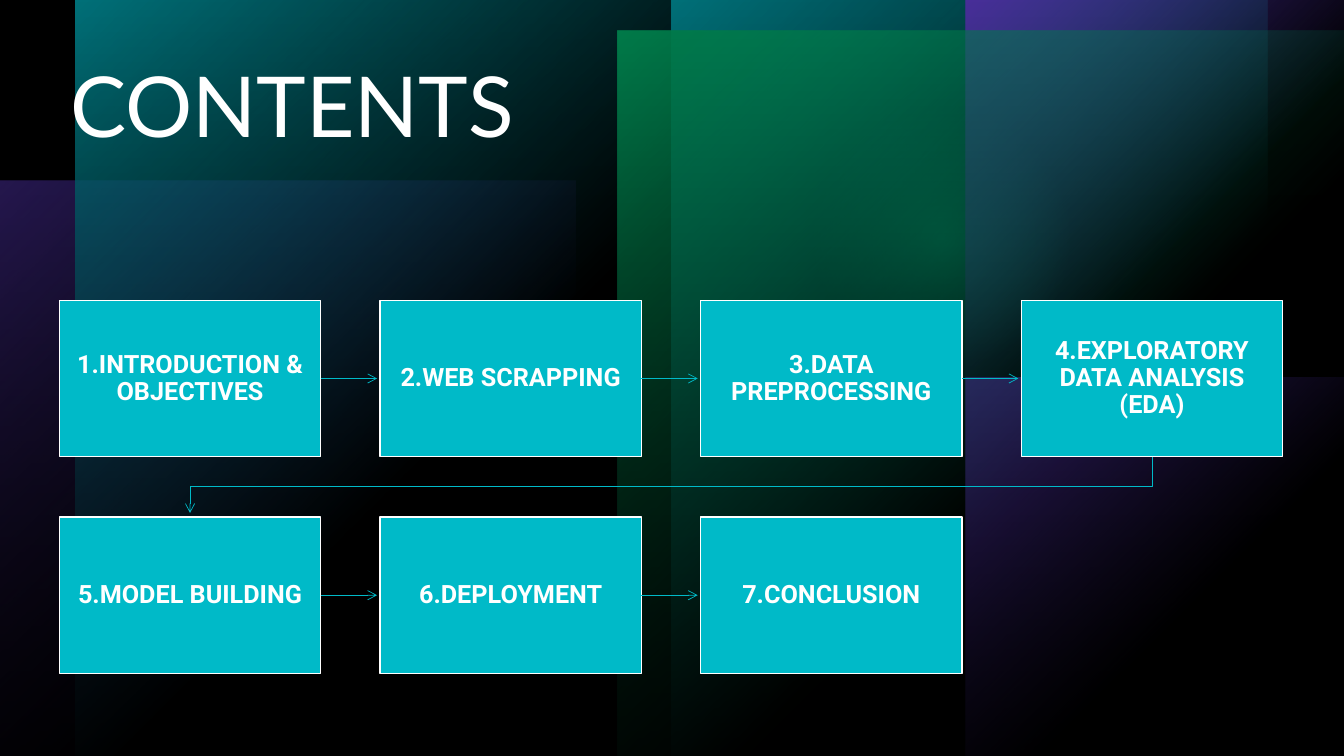
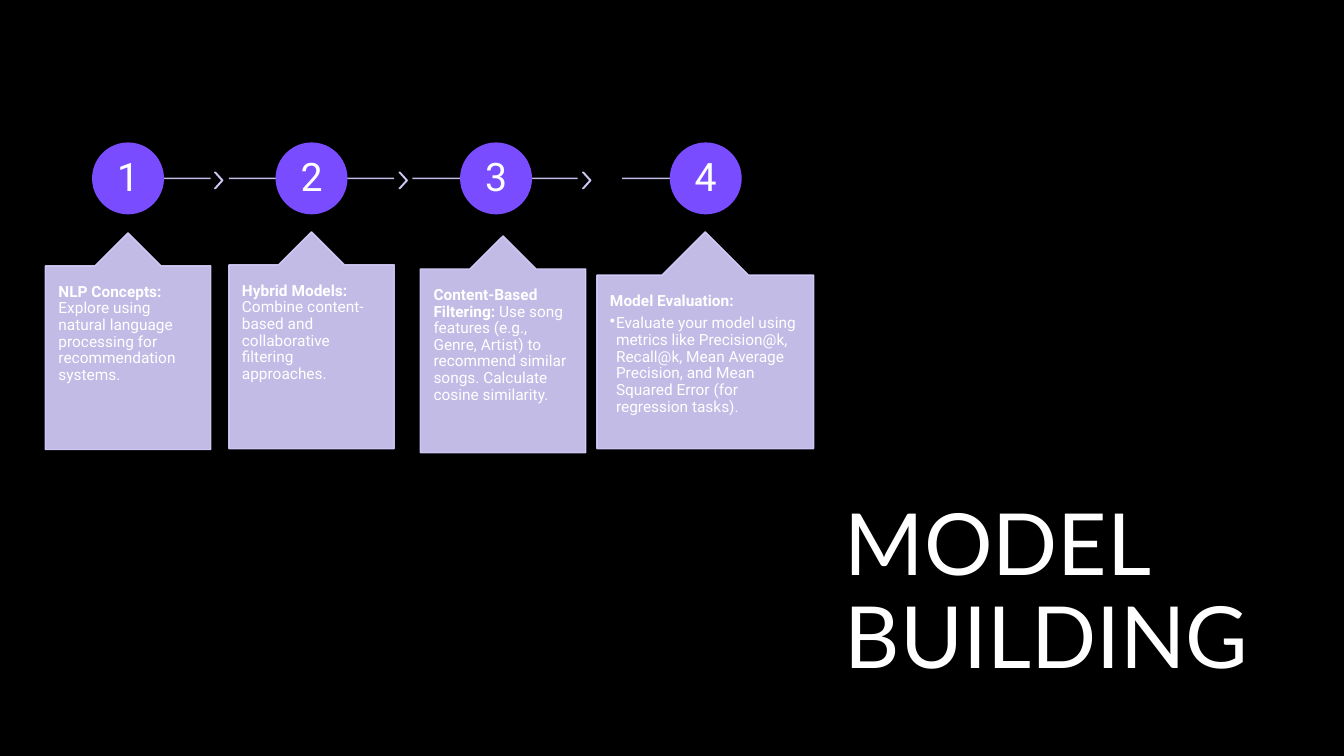
"""Build the contents and model building slides of a dark themed deck."""
import pptx
import pptx.dml.color
import pptx.enum.shapes
import pptx.enum.text
import pptx.oxml
import pptx.oxml.ns
import pptx.util
from lxml import etree

Inches = pptx.util.Inches
Pt = pptx.util.Pt
qn = pptx.oxml.ns.qn
KIND = pptx.enum.shapes.MSO_SHAPE
ALIGN = pptx.enum.text.PP_ALIGN
ANCHOR = pptx.enum.text.MSO_ANCHOR

BLACK, WHITE = "000000", "FFFFFF"
TEAL, GREEN, VIOLET, LILAC = "00BAC8", "00D17D", "794DFF", "D7D0FF"
HEAD, BODY = "Lato", "Roboto"
CORNER = (0, 0, 100, 100)
CENTER = (50, 50, 50, 50)

TOPICS = [
    "1.INTRODUCTION & OBJECTIVES",
    "2.WEB SCRAPPING",
    "3.DATA PREPROCESSING",
    "4.EXPLORATORY DATA ANALYSIS (EDA)",
    "5.MODEL BUILDING",
    "6.DEPLOYMENT",
    "7.CONCLUSION",
]
CARDS = [
    (0.45, 2.31, 1.64, "NLP Concepts:",
     " Explore using natural language processing for recommendation systems."),
    (2.27, 2.3, 1.64, "Hybrid Models:",
     " Combine content-based and collaborative filtering approaches."),
    (4.17, 2.34, 1.64, "Content-Based Filtering:",
     " Use song features (e.g., Genre, Artist) to recommend similar songs. "
     "Calculate cosine similarity."),
]
CHECK = ("Evaluate your model using metrics like Precision@k, Recall@k, "
         "Mean Average Precision, and Mean Squared Error (for regression tasks).")


def rgb(code):
    return pptx.dml.color.RGBColor.from_string(code)


def style(para, size, font=BODY, bold=False, align=ALIGN.LEFT):
    para.alignment = align
    para.line_spacing = 0.9
    para.font.size = Pt(size)
    para.font.name = font
    para.font.bold = bold
    para.font.color.rgb = rgb(WHITE)


def frame(shape, anchor, side, top):
    area = shape.text_frame
    area.word_wrap = True
    area.vertical_anchor = anchor
    area.margin_left = area.margin_right = Inches(side)
    area.margin_top = area.margin_bottom = Inches(top)
    return area


def title(slide, text, x, y, w, h, size):
    box = slide.shapes.add_textbox(Inches(x), Inches(y), Inches(w), Inches(h))
    para = frame(box, ANCHOR.TOP, 0.1, 0.05).paragraphs[0]
    para.text = text
    style(para, size, HEAD)


def shape(slide, kind, x, y, w, h, fill=None, line=None):
    item = slide.shapes.add_shape(kind, Inches(x), Inches(y), Inches(w), Inches(h))
    item.shadow.inherit = False
    if fill:
        item.fill.solid()
        item.fill.fore_color.rgb = rgb(fill)
    else:
        item.fill.background()
    if line:
        item.line.color.rgb = rgb(line)
        item.line.width = Pt(1)
    else:
        item.line.fill.background()
    return item


def label(item, text, size, inset, bold=False):
    para = frame(item, ANCHOR.MIDDLE, inset, inset).paragraphs[0]
    para.text = text
    style(para, size, bold=bold, align=ALIGN.CENTER)


def fade(item, share=90):
    for color in item._element.spPr.iter(qn("a:srgbClr")):
        etree.SubElement(color, qn("a:alpha"), val=str(share * 1000))


def blend(item, stops, focus=None):
    marks = "".join(
        f'<a:gs pos="{pos * 1000}"><a:srgbClr val="{color}">'
        f'<a:alpha val="{share * 1000}"/></a:srgbClr></a:gs>'
        for pos, color, share in stops)
    if focus:
        left, top, right, low = (part * 1000 for part in focus)
        tail = (f'<a:path path="circle"><a:fillToRect l="{left}" t="{top}" '
                f'r="{right}" b="{low}"/></a:path>')
    else:
        tail = '<a:lin ang="5400000" scaled="0"/>'
    fill = pptx.oxml.parse_xml(
        f'<a:gradFill {pptx.oxml.ns.nsdecls("a")}>'
        f'<a:gsLst>{marks}</a:gsLst>{tail}</a:gradFill>')
    props = item._element.spPr
    props.replace(props.find(qn("a:noFill")), fill)


def glow(slide, color, x, y, w, h, share=100, kind=KIND.RECTANGLE, focus=CORNER):
    item = shape(slide, kind, x, y, w, h)
    blend(item, [(0, color, share), (60, color, 0)], focus)


def stroke(item, color, width, arrow=False):
    item.line.color.rgb = rgb(color)
    item.line.width = Pt(width)
    if arrow:
        etree.SubElement(item.line._get_or_add_ln(), qn("a:tailEnd"), type="arrow")


def rule(slide, start, end, y, color, width, arrow=False):
    item = slide.shapes.add_connector(
        pptx.enum.shapes.MSO_CONNECTOR.STRAIGHT,
        Inches(start), Inches(y), Inches(end), Inches(y))
    stroke(item, color, width, arrow)
    etree.SubElement(item._element.spPr, qn("a:effectLst"))
    return item


def bend(slide, points, color):
    spots = [(Inches(x), Inches(y)) for x, y in points]
    pen = slide.shapes.build_freeform(*spots[0])
    pen.add_line_segments(spots[1:], close=False)
    item = pen.convert_to_shape()
    item.shadow.inherit = False
    item.fill.background()
    stroke(item, color, 0.5, True)


def scene(slide):
    glow(slide, VIOLET, 0, 1.79, 5.71, 5.71, 60)
    glow(slide, GREEN, 7.84, 0.86, 3, 3, 60, KIND.OVAL, CENTER)
    for x in (6.66, 0.75):
        glow(slide, TEAL, x, 0, 5.91, 7.5)
    for y in (3.75, 0):
        glow(slide, VIOLET, 9.58, y, 3.75, 3.75)
    glow(slide, GREEN, 6.13, 0.3, 7.2, 7.2)
    veil = shape(slide, KIND.RECTANGLE, 0, 0, 13.33, 7.5)
    blend(veil, [(0, BLACK, 40), (100, BLACK, 80)])


def flow(slide):
    left, top, wide, high = 0.59, 2.98, 2.59, 1.55
    across, down, cols = 3.18, 2.15, 4
    for i, text in enumerate(TOPICS):
        row, col = divmod(i, cols)
        x, y = left + col * across, top + row * down
        box = shape(slide, KIND.RECTANGLE, x, y, wide, high, TEAL, WHITE)
        label(box, text, 18, 0.13, True)
        if col < cols - 1 and i < len(TOPICS) - 1:
            rule(slide, x + wide, x + across - 0.03, y + high / 2, TEAL, 0.5, True)
    first = left + wide / 2
    last = first + (cols - 1) * across
    base = top + high
    bend(slide, [(last, base), (last, base + 0.3), (first, base + 0.3),
                 (first, top + down - 0.04)], TEAL)


def steps(slide):
    y = 1.77
    for start, end in ((1.36, 2.09), (2.27, 3.91), (4.09, 5.73), (6.17, 6.99)):
        fade(rule(slide, start, end, y, LILAC, 1))
    for x in (2.13, 3.96, 5.78):
        mark = shape(slide, KIND.CHEVRON, x, 1.71, 0.08, 0.16, LILAC, LILAC)
        mark.adjustments[0] = 0.9
        fade(mark)
    for num, x in enumerate((0.92, 2.74, 4.57, 6.65), 1):
        disc = shape(slide, KIND.OVAL, x, 1.42, 0.7, 0.7, VIOLET, VIOLET)
        label(disc, str(num), 28, 0.03)


def card(slide, x, y, w, head, body=""):
    item = shape(slide, KIND.UP_ARROW_CALLOUT, x, y, w, 2.15, LILAC, LILAC)
    for i, part in enumerate((0.5, 0.2, 0.2, 1)):
        item.adjustments[i] = part
    fade(item)
    area = frame(item, ANCHOR.TOP, 0.13, 0.18)
    para = area.paragraphs[0]
    style(para, 11)
    para.add_run().text = head
    para.runs[0].font.bold = True
    if body:
        para.add_run().text = body
    return area


def bullet(area, text):
    area.paragraphs[0].space_after = Pt(4)
    para = area.add_paragraph()
    props = para._p.get_or_add_pPr()
    props.set("marL", str(Inches(0.06)))
    props.set("indent", str(Inches(-0.06)))
    etree.SubElement(props, qn("a:buChar"), char="•")
    para.text = text
    style(para, 11)


def main():
    deck = pptx.Presentation()
    deck.slide_width, deck.slide_height = Inches(13.33), Inches(7.5)
    back = deck.slide_master.background.fill
    back.solid()
    back.fore_color.rgb = rgb(BLACK)
    blank = deck.slide_layouts[6]

    slide = deck.slides.add_slide(blank)
    scene(slide)
    title(slide, "CONTENTS", 0.6, 0.59, 12.11, 1.98, 60)
    flow(slide)

    slide = deck.slides.add_slide(blank)
    title(slide, "MODEL BUILDING", 8.28, 4.93, 5.05, 2, 61.2)
    steps(slide)
    for item in CARDS:
        card(slide, *item)
    bullet(card(slide, 5.92, 2.3, 2.15, "Model Evaluation:"), CHECK)
    deck.save("out.pptx")


if __name__ == "__main__":
    main()
